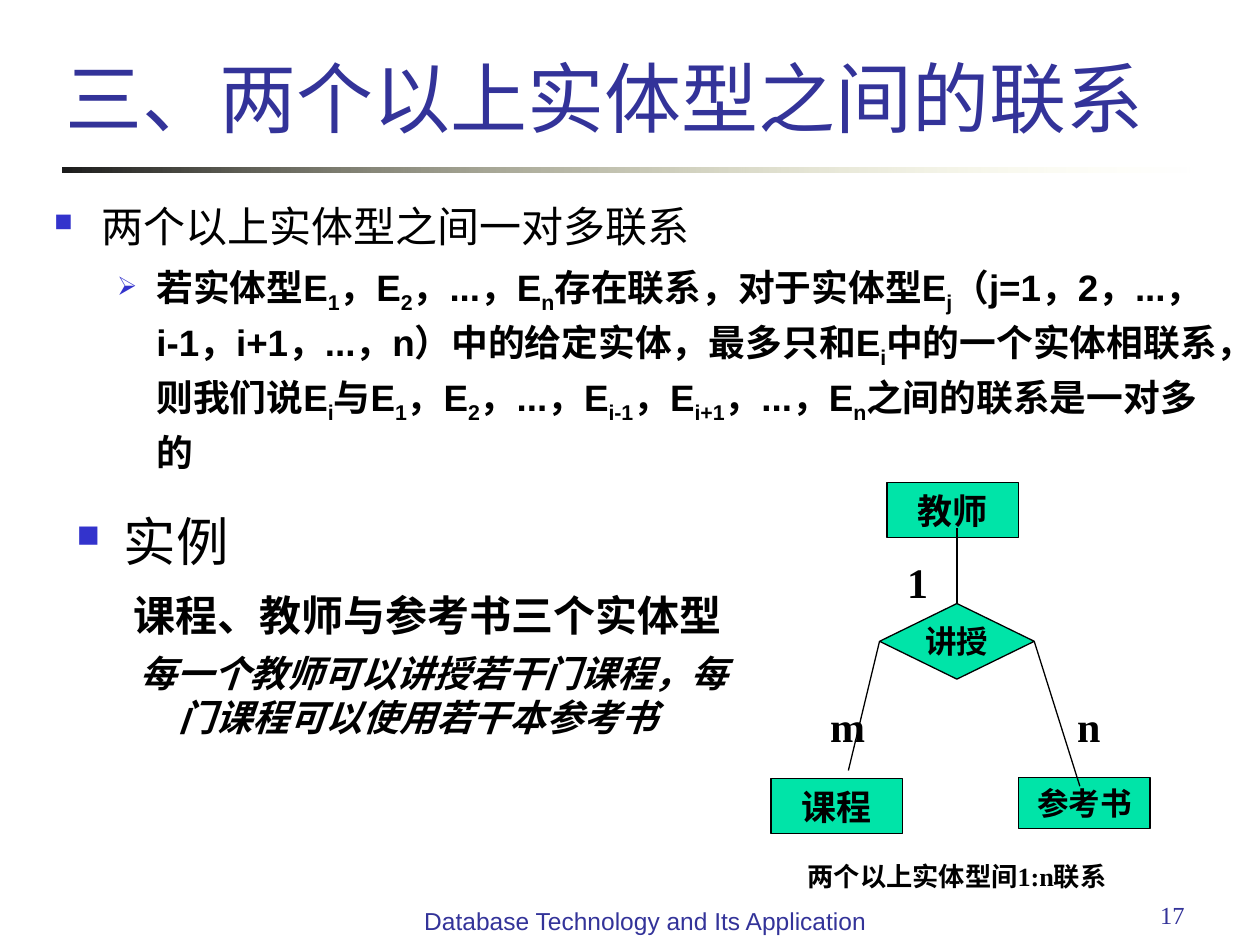
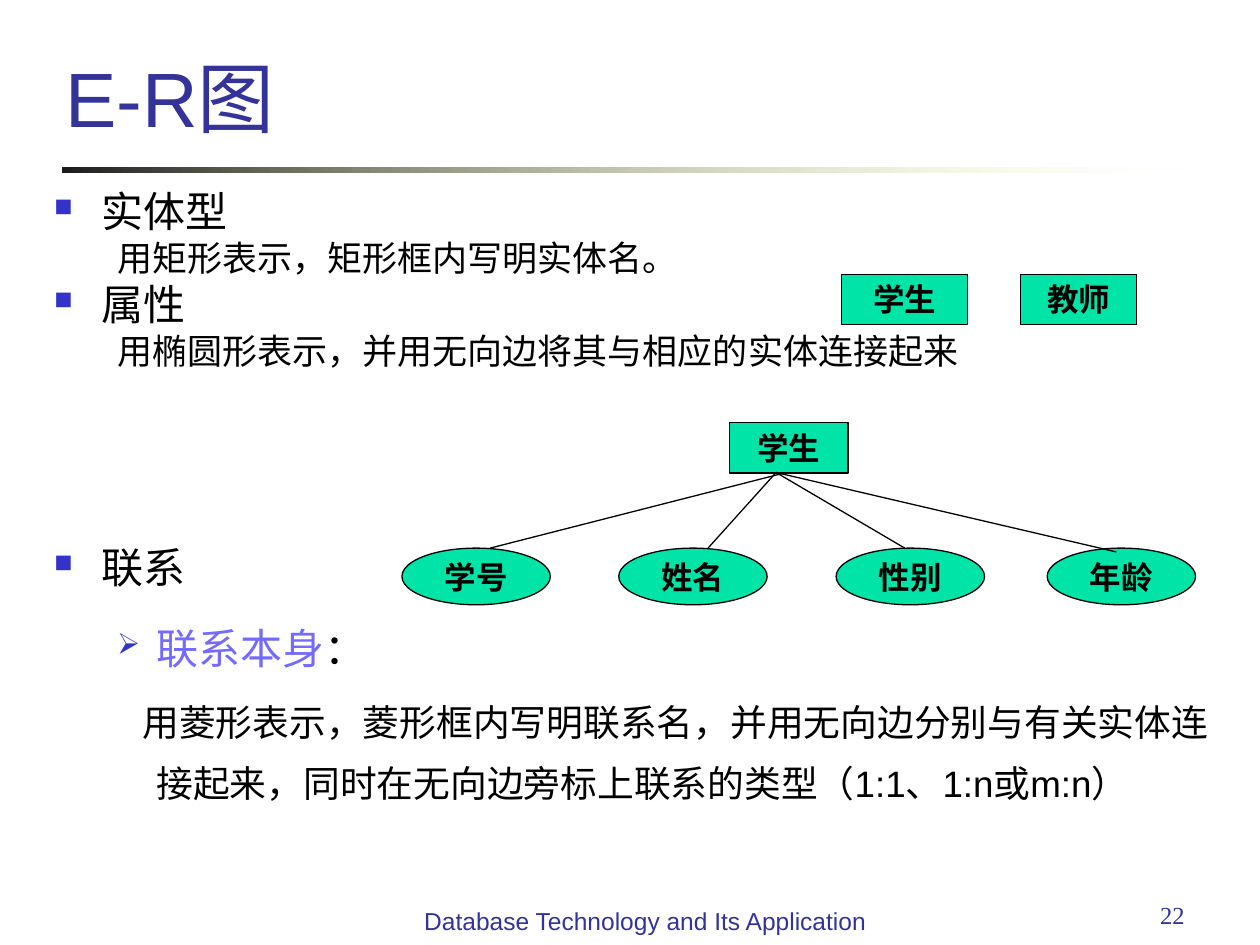
import dataclasses
import pptx
import pptx.dml.color
import pptx.enum.shapes
import pptx.enum.text
import pptx.oxml.ns
import pptx.util
from lxml import etree

Pt = pptx.util.Pt
RGB = pptx.dml.color.RGBColor
SHAPE = pptx.enum.shapes.MSO_SHAPE
ALIGN = pptx.enum.text.PP_ALIGN
ANCHOR = pptx.enum.text.MSO_ANCHOR
qn = pptx.oxml.ns.qn

NAVY = RGB(0x33, 0x33, 0x99)
BULLET_BLUE = RGB(0x33, 0x33, 0xCC)
VIOLET = RGB(0x74, 0x6A, 0xFC)
GREEN = RGB(0x00, 0xE4, 0xA8)
BLACK = RGB(0, 0, 0)
RULE_DARK = RGB(0x1C, 0x1C, 0x1C)
RULE_LIGHT = RGB(0xFF, 0xFF, 0xB7)
SANS, SERIF = "Arial", "Times New Roman"
SQUARE, ARROW = ("■", 60), ("➢", 70)
FOOTER = "Database Technology and Its Application"


@dataclasses.dataclass
class Para:
    """Odd pieces of text between bars are subscripts, or take the accent colour."""
    text: str
    size: float
    left: float = 0
    indent: float = 0
    before: float = 0
    spacing: float = 1
    bullet: tuple = None
    font: str = SANS
    bold: bool = False
    italic: bool = False
    color: RGB = BLACK
    accent: RGB = None
    align: ALIGN = ALIGN.LEFT


def topic(text, **options):
    return Para(text, **{"size": 24, "left": 27, "indent": -27, "bullet": SQUARE, **options})


def detail(text, **options):
    return Para(text, **{"left": 58.5, "indent": -22.5, **options})


PAGES = [
    {
        "title": "三、两个以上实体型之间的联系",
        "number": "17",
        "bodies": [
            ((23.8, 108, 681, 171), [
                topic("两个以上实体型之间一对多联系", spacing=1.1),
                detail("若实体型E|1|，E|2|，...，E|n|存在联系，对于实体型E|j|"
                       "（j=1，2，...，i-1，i+1，...，n）中的给定实体，最多只和E|i|"
                       "中的一个实体相联系，则我们说E|i|与E|1|，E|2|，...，E|i-1|"
                       "，E|i+1|，...，E|n|之间的联系是一对多的",
                       size=21, before=5.2, spacing=1.1, bullet=ARROW, bold=True),
            ]),
            ((36.7, 287.3, 399, 217), [
                topic("实例", size=30, font=SERIF),
                Para("课程、教师与参考书三个实体型", 24, left=32.5, before=10,
                     font=SERIF, bold=True),
                detail("每一个教师可以讲授若干门课程，每门课程可以使用若干本参考书",
                       size=21, before=6, bold=True, italic=True),
            ]),
        ],
        "nodes": [
            ("教师", SHAPE.RECTANGLE, (506.9, 275.8, 75, 31.5), 20),
            ("讲授", SHAPE.DIAMOND, (502.6, 344.9, 88.4, 43.2), 18),
            ("课程", SHAPE.RECTANGLE, (440.6, 445, 75, 31.5), 20),
            ("参考书", SHAPE.RECTANGLE, (582.2, 444.4, 75, 29), 18),
        ],
        "edges": [
            ((546.8, 344.9), (546.8, 301.7), ("讲授", 0)),
            ((502.6, 366.5), (484.8, 440.3), ("讲授", 1)),
            ((591, 366.5), (617.1, 449.3), ("讲授", 3)),
        ],
        "labels": [
            ("1", (511.2, 314.6, 22.3, 36), 24, ALIGN.LEFT),
            ("m", (467.3, 396.7, 22.3, 36), 24, ALIGN.LEFT),
            ("n", (608.4, 396.7, 22.3, 36), 24, ALIGN.LEFT),
            ("两个以上实体型间1:n联系", (427.7, 488.2, 238.3, 25.2), 15, ALIGN.CENTER),
        ],
    },
    {
        "title": "E-R图",
        "number": "22",
        "bodies": [
            ((23.8, 108, 681, 375), [
                topic("实体型", spacing=0.8),
                detail("用矩形表示，矩形框内写明实体名。", size=20, before=5, spacing=0.8),
                topic("属性", before=6, spacing=0.8),
                detail("用椭圆形表示，并用无向边将其与相应的实体连接起来",
                       size=20, before=5, spacing=0.8),
                topic("联系", before=103, spacing=0.8),
                detail("|联系本身|：", size=24, before=6, spacing=1.4,
                       bullet=ARROW, accent=VIOLET),
                detail("用菱形表示，菱形框内写明联系名，并用无向边分别与有关实体连接起来，"
                       "同时在无向边旁标上联系的类型（1:1、1:n或m:n）",
                       size=21, indent=-8, before=5.2, spacing=1.4),
            ]),
        ],
        "nodes": [
            ("学生", SHAPE.RECTANGLE, (481, 156.7, 72, 28.8), 18),
            ("教师", SHAPE.RECTANGLE, (583.2, 156.7, 66.2, 28.8), 18),
            ("学生", SHAPE.RECTANGLE, (417, 241.6, 67.7, 28.8), 18),
        ] + [
            (attribute, SHAPE.OVAL, (left, 313.2, 84.8, 32.4), 18)
            for attribute, left in [("学号", 229.7), ("姓名", 353.6),
                                    ("性别", 477.8), ("年龄", 598.4)]
        ],
        "edges": [
            ((449.3, 270), (280.1, 313.2), None),
            ((443.5, 270), (404.6, 313.2), None),
            ((443.5, 270), (517, 313.2), None),
            ((443.5, 270), (637.9, 315.4), None),
        ],
        "labels": [],
    },
]


def points(box):
    return [Pt(length) for length in box]


def add_bullet(paragraph, bullet):
    char, percent = bullet
    properties = paragraph._p.get_or_add_pPr()
    color = etree.SubElement(properties, qn("a:buClr"))
    etree.SubElement(color, qn("a:srgbClr"), val=str(BULLET_BLUE))
    etree.SubElement(properties, qn("a:buSzPct"), val=str(percent * 1000))
    etree.SubElement(properties, qn("a:buChar"), char=char)


def write(frame, paras, anchor=ANCHOR.TOP, wrap=True):
    frame.word_wrap = wrap
    frame.vertical_anchor = anchor
    for index, para in enumerate(paras):
        paragraph = frame.add_paragraph() if index else frame.paragraphs[0]
        properties = paragraph._p.get_or_add_pPr()
        properties.set("marL", str(Pt(para.left)))
        properties.set("indent", str(Pt(para.indent)))
        if para.bullet:
            add_bullet(paragraph, para.bullet)
        paragraph.alignment = para.align
        paragraph.line_spacing = para.spacing
        paragraph.space_before = Pt(para.before)
        for position, piece in enumerate(para.text.split("|")):
            if not piece:
                continue
            run = paragraph.add_run()
            run.text = piece
            font = run.font
            font.name, font.size = para.font, Pt(para.size)
            font.bold, font.italic = para.bold, para.italic
            marked = position % 2 == 1
            font.color.rgb = para.accent if marked and para.accent else para.color
            if marked and not para.accent:
                run._r.get_or_add_rPr().set("baseline", "-25000")


def add_text(slide, box, paras, anchor=ANCHOR.TOP):
    write(slide.shapes.add_textbox(*points(box)).text_frame, paras, anchor)


def add_rule(slide):
    rule = slide.shapes.add_shape(SHAPE.RECTANGLE, *points((36, 95.5, 648, 3.2)))
    rule.shadow.inherit = False
    rule.line.fill.background()
    rule.fill.gradient()
    rule.fill.gradient_angle = 0
    dark, light = rule.fill.gradient_stops
    dark.color.rgb, dark.position = RULE_DARK, 0
    light.color.rgb, light.position = RULE_LIGHT, 1
    light_color = rule._element.findall(".//" + qn("a:srgbClr"))[-1]
    etree.SubElement(light_color, qn("a:alpha"), val="0")


def add_node(slide, name, outline, box, size):
    node = slide.shapes.add_shape(outline, *points(box))
    node.shadow.inherit = False
    node.fill.solid()
    node.fill.fore_color.rgb = GREEN
    node.line.color.rgb = BLACK
    node.line.width = Pt(0.75)
    label = Para(name, size, font=SERIF, bold=True, align=ALIGN.CENTER)
    write(node.text_frame, [label], ANCHOR.MIDDLE, wrap=False)
    return node


def add_edge(slide, start, end, joint, nodes):
    edge = slide.shapes.add_connector(
        pptx.enum.shapes.MSO_CONNECTOR.STRAIGHT, *points(start + end))
    edge.line.color.rgb = BLACK
    edge.line.width = Pt(0.75)
    etree.SubElement(edge._element.spPr, qn("a:effectLst"))
    if joint:
        name, side = joint
        edge.begin_connect(nodes[name], side)


def add_page(deck, page):
    slide = deck.slides.add_slide(deck.slide_layouts[6])
    add_rule(slide)
    add_text(slide, (30.2, 0, 632, 85), [Para(page["title"], 44, color=NAVY)], ANCHOR.BOTTOM)
    for box, paras in page["bodies"]:
        add_text(slide, box, paras)
    nodes = {node[0]: add_node(slide, *node) for node in page["nodes"]}
    for start, end, joint in page["edges"]:
        add_edge(slide, start, end, joint, nodes)
    for text, box, size, align in page["labels"]:
        add_text(slide, box, [Para(text, size, font=SERIF, bold=True, align=align)])
    add_text(slide, (516.2, 510.5, 167.8, 37.4),
             [Para(page["number"], 14, font=SERIF, color=NAVY, align=ALIGN.RIGHT)])
    add_text(slide, (229.7, 514, 278, 37.4),
             [Para(FOOTER, 14, color=NAVY, align=ALIGN.CENTER)])


def main():
    deck = pptx.Presentation()
    deck.slide_width, deck.slide_height = Pt(720), Pt(540)
    for page in PAGES:
        add_page(deck, page)
    deck.save("out.pptx")


if __name__ == "__main__":
    main()
